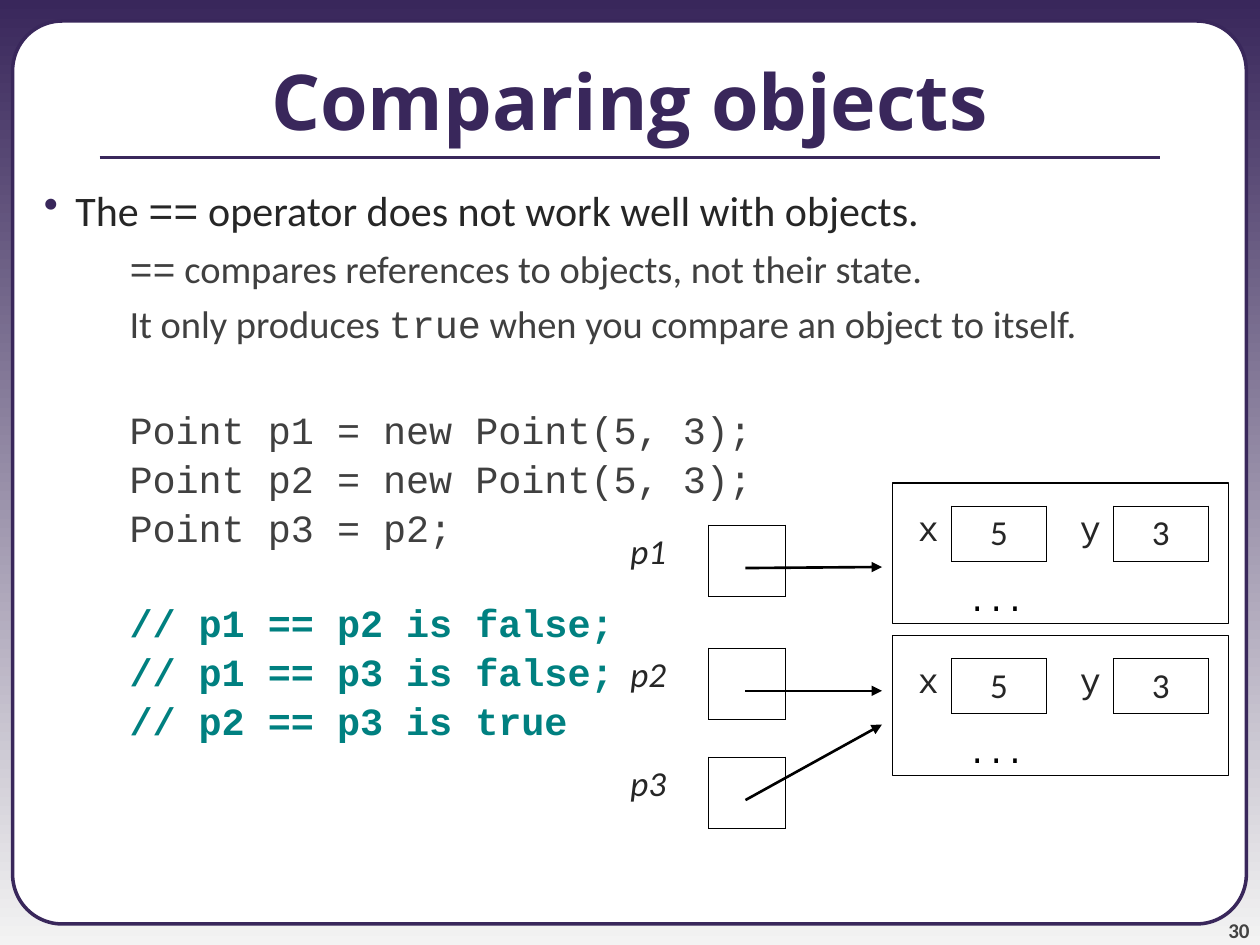
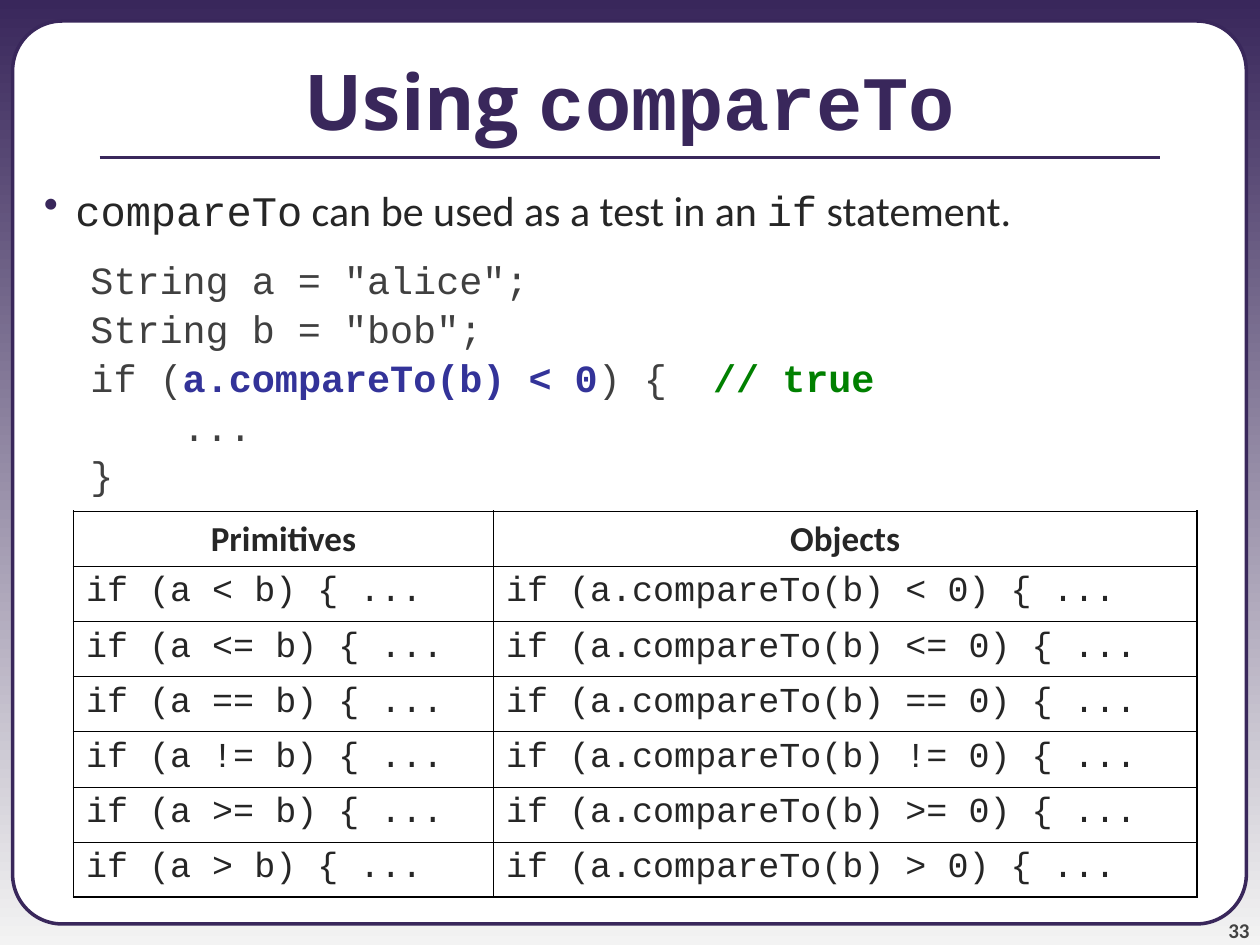
from lxml.etree import SubElement
from pptx import Presentation
from pptx.dml.color import RGBColor
from pptx.enum.shapes import MSO_CONNECTOR as Connector, MSO_SHAPE as Shape
from pptx.enum.text import MSO_ANCHOR as Anchor, PP_ALIGN as Align
from pptx.oxml.ns import qn
from pptx.util import Inches, Pt

COLUMNS, ROWS = 120, 90
PURPLE, GREY, INK, CODE_INK = "39275B", "424242", "262626", "404040"
TEAL, BLUE, GREEN, BLACK, WHITE = "008080", "333399", "008000", "000000", "FFFFFF"
SANS, MONO, HEADING = "Calibri", "Courier New", "Open Sans"
THIN, THICK = 0.45, 1.08
PLAIN_TABLE = "{2D5ABB26-0587-4C30-8999-92F81FD0307C}"
IN_MONO = {"font": MONO}


def grid(*cells):
    """Convert grid cells to lengths; a cell is a twelfth of an inch."""
    return [Inches(cell / 12) for cell in cells]


def color(value):
    """Turn a hex string into a colour."""
    return RGBColor.from_string(value)


def add_bullet(para):
    """Give a paragraph a purple dot."""
    props = para._p.get_or_add_pPr()
    tint = SubElement(props, qn("a:buClr"))
    SubElement(tint, qn("a:srgbClr"), val=PURPLE)
    SubElement(props, qn("a:buChar"), char="•")


def add_text(frame, text, font=SANS, size=20, ink=INK, bold=False, italic=False,
             align=Align.LEFT, margin=0.0, hang=0.0, before=0, spacing=None, bullet=False):
    """Add a paragraph from a string or a list of (text, changed format) spans."""
    first = frame.paragraphs[0]
    para = frame.add_paragraph() if first.runs else first
    props = para._p.get_or_add_pPr()
    props.set("marL", str(Inches(margin)))
    props.set("indent", str(-Inches(hang)))
    if bullet:
        add_bullet(para)
    para.alignment = align
    para.space_before = Pt(before)
    if spacing:
        para.line_spacing = spacing
    base = {"font": font, "ink": ink, "bold": bold}
    for words, changes in [(text, {})] if isinstance(text, str) else text:
        look = base | changes
        span = para.add_run()
        span.text = words
        span.font.name, span.font.size = look["font"], Pt(size)
        span.font.bold, span.font.italic = look["bold"], italic
        span.font.color.rgb = color(look["ink"])


def add_box(page, *place, anchor=Anchor.TOP, inset=True):
    """Add a wrapping text box and return its frame."""
    frame = page.shapes.add_textbox(*grid(*place)).text_frame
    frame.word_wrap = True
    frame.vertical_anchor = anchor
    if not inset:
        frame.margin_left = frame.margin_right = frame.margin_top = frame.margin_bottom = 0
    return frame


def add_panel(page, kind, *place, fill=None, ink=BLACK, width=0.75):
    """Add an outlined shape."""
    panel = page.shapes.add_shape(kind, *grid(*place))
    panel.shadow.inherit = False
    if fill:
        panel.fill.solid()
        panel.fill.fore_color.rgb = color(fill)
    else:
        panel.fill.background()
    panel.line.color.rgb = color(ink)
    panel.line.width = Pt(width)
    return panel


def add_line(page, *ends, ink=BLACK, width=1.5, arrow=False):
    """Draw a straight line, with an arrowhead at its end if asked."""
    line = page.shapes.add_connector(Connector.STRAIGHT, *grid(*ends))
    line.line.color.rgb = color(ink)
    line.line.width = Pt(width)
    if arrow:
        SubElement(line.line._get_or_add_ln(), qn("a:tailEnd"), type="triangle")
    SubElement(line._element.spPr, qn("a:effectLst"))


def add_table(page, left, top, widths, height, count=1):
    """Add an unstyled table with rows of equal height."""
    table = page.shapes.add_table(
        count, len(widths), *grid(left, top, sum(widths), height * count)).table
    table.first_row = table.horz_banding = False
    table._tbl.tblPr.find(qn("a:tableStyleId")).text = PLAIN_TABLE
    for column, width in zip(table.columns, grid(*widths)):
        column.width = width
    for row in table.rows:
        row.height = grid(height)[0]
    return table


def frame_cell(cell, left=THIN, right=THIN, top=THIN, bottom=THIN):
    """Draw the four borders of a cell and leave it unfilled."""
    props = cell._tc.get_or_add_tcPr()
    for side, width in zip("LRTB", (left, right, top, bottom)):
        line = SubElement(props, qn(f"a:ln{side}"), w=str(Pt(width)))
        SubElement(SubElement(line, qn("a:solidFill")), qn("a:srgbClr"), val=BLACK)
    cell.fill.background()


def add_page(deck, title, number):
    """Add a slide with its gradient, frame, number, rule and title."""
    page = deck.slides.add_slide(deck.slide_layouts[6])
    back = page.background.fill
    back.gradient()
    back.gradient_angle = 270
    for stop, position, tint in zip(back.gradient_stops, (0, 1), (PURPLE, "F3F3F3")):
        stop.position = position
        stop.color.rgb = color(tint)
    panel = add_panel(page, Shape.ROUNDED_RECTANGLE, 1.2, 2, 117.5, 86,
                      fill=WHITE, ink=PURPLE, width=2)
    panel.adjustments[0] = 0.055
    footer = add_box(page, 109, 85, 10, 4.8, anchor=Anchor.BOTTOM, inset=False)
    add_text(footer, number, size=12, ink=GREY, bold=True, align=Align.RIGHT)
    add_line(page, 9.5, 15, COLUMNS - 9.5, 15, ink=PURPLE, width=2.25)
    heading = add_box(page, 0, 2, COLUMNS, 15, anchor=Anchor.MIDDLE)
    add_text(heading, title, font=HEADING, size=44, ink=PURPLE, bold=True, align=Align.CENTER)
    return page


def add_body(page, point):
    """Add the body box with its bulleted first line."""
    body = add_box(page, 0, 17, COLUMNS, ROWS - 17)
    add_text(body, point, size=24, margin=0.5, hang=0.25, bullet=True)
    return body


def add_code(body, lines, margin, gap, **look):
    """Add tight lines of code after a gap."""
    for index, line in enumerate(lines):
        add_text(body, line, **({"font": MONO, "size": 22, "ink": CODE_INK} | look),
                 margin=margin, spacing=0.85, before=5.5 if index else gap)


def add_point_object(page, top):
    """Draw a Point object with its x and y fields."""
    panel = add_panel(page, Shape.RECTANGLE, 85, top, 32, 13.4)
    panel.text_frame.vertical_anchor = Anchor.BOTTOM
    add_text(panel.text_frame, "...", font=MONO, size=18, ink=BLACK, margin=0.5)
    fields = add_table(page, 86.2, top + 2.2, (4.45, 9, 6.4, 9), 5.25)
    for index, text in enumerate(("x", "5", "y", "3")):
        cell = fields.cell(0, index)
        is_value = index % 2 == 1
        add_text(cell.text_frame, text, font=SANS if is_value else MONO,
                 align=Align.RIGHT if text == "y" else Align.CENTER)
        if is_value:
            frame_cell(cell)


def add_reference(page, name, top, target):
    """Draw a named variable and the arrow to its object."""
    variable = add_table(page, 56, top, (11.5, 7.3), 6.8)
    add_text(variable.cell(0, 0).text_frame, name, italic=True, align=Align.CENTER)
    frame_cell(variable.cell(0, 1))
    add_line(page, 71, top + 4.1, 84, target, arrow=True)


def add_comparison(page, operators):
    """Tabulate each operator for primitives and for objects."""
    rows = [("Primitives", "Objects")]
    rows += [(f"if (a {sign} b) {{ ...", f"if (a.compareTo(b) {sign} 0) {{ ...")
             for sign in operators]
    table = add_table(page, 7, 48.7, (40, 67), 5.25, len(rows))
    for row, texts in enumerate(rows):
        header = row == 0
        for column, text in enumerate(texts):
            cell = table.cell(row, column)
            add_text(cell.text_frame, text, font=SANS if header else MONO, bold=header,
                     align=Align.CENTER if header else Align.LEFT)
            frame_cell(cell, left=THIN if column else THICK, right=THICK if column else THIN,
                       top=THICK if header else THIN,
                       bottom=THICK if row == len(rows) - 1 else THIN)


def build_comparing_objects(deck):
    """Show that == compares references."""
    page = add_page(deck, "Comparing objects", "30")
    body = add_body(page, [("The ", {}), ("==", IN_MONO),
                           (" operator does not work well with objects.", {})])
    for text in (
        [("==", IN_MONO), (" compares references to objects, not their state.", {})],
        [("It only produces ", {}), ("true", IN_MONO),
         (" when you compare an object to itself.", {})],
    ):
        add_text(body, text, size=22, ink=CODE_INK, margin=0.93, before=5.5)
    add_code(body, ("Point p1 = new Point(5, 3);", "Point p2 = new Point(5, 3);",
                    "Point p3 = p2;"), margin=0.93, gap=38)
    add_code(body, ("// p1 == p2 is false;", "// p1 == p3 is false;", "// p2 == p3 is true"),
             margin=0.93, gap=32.2, ink=TEAL, bold=True)
    for top in (46, 60.5):
        add_point_object(page, top)
    for name, top, target in (("p1", 50, 54), ("p2", 61.7, 65.8), ("p3", 72.1, 69)):
        add_reference(page, name, top, target)


def build_using_compare_to(deck):
    """Show compareTo as a test and its table of operators."""
    page = add_page(deck, [("Using ", {}), ("compareTo", IN_MONO)], "33")
    body = add_body(page, [("compareTo", IN_MONO), (" can be used as a test in an ", {}),
                           ("if", IN_MONO), (" statement.", {})])
    test = [("if (", {}), ("a.compareTo(b) < 0", {"ink": BLUE, "bold": True}),
            (") {  ", {}), ("// true", {"ink": GREEN, "bold": True})]
    add_code(body, ('String a = "alice";', 'String b = "bob";', test, "    ...", "}"),
             margin=0.62, gap=16)
    add_comparison(page, ("<", "<=", "==", "!=", ">=", ">"))


def main():
    """Build and save the deck."""
    deck = Presentation()
    deck.slide_width, deck.slide_height = grid(COLUMNS, ROWS)
    build_comparing_objects(deck)
    build_using_compare_to(deck)
    deck.save("out.pptx")


if __name__ == "__main__":
    main()
